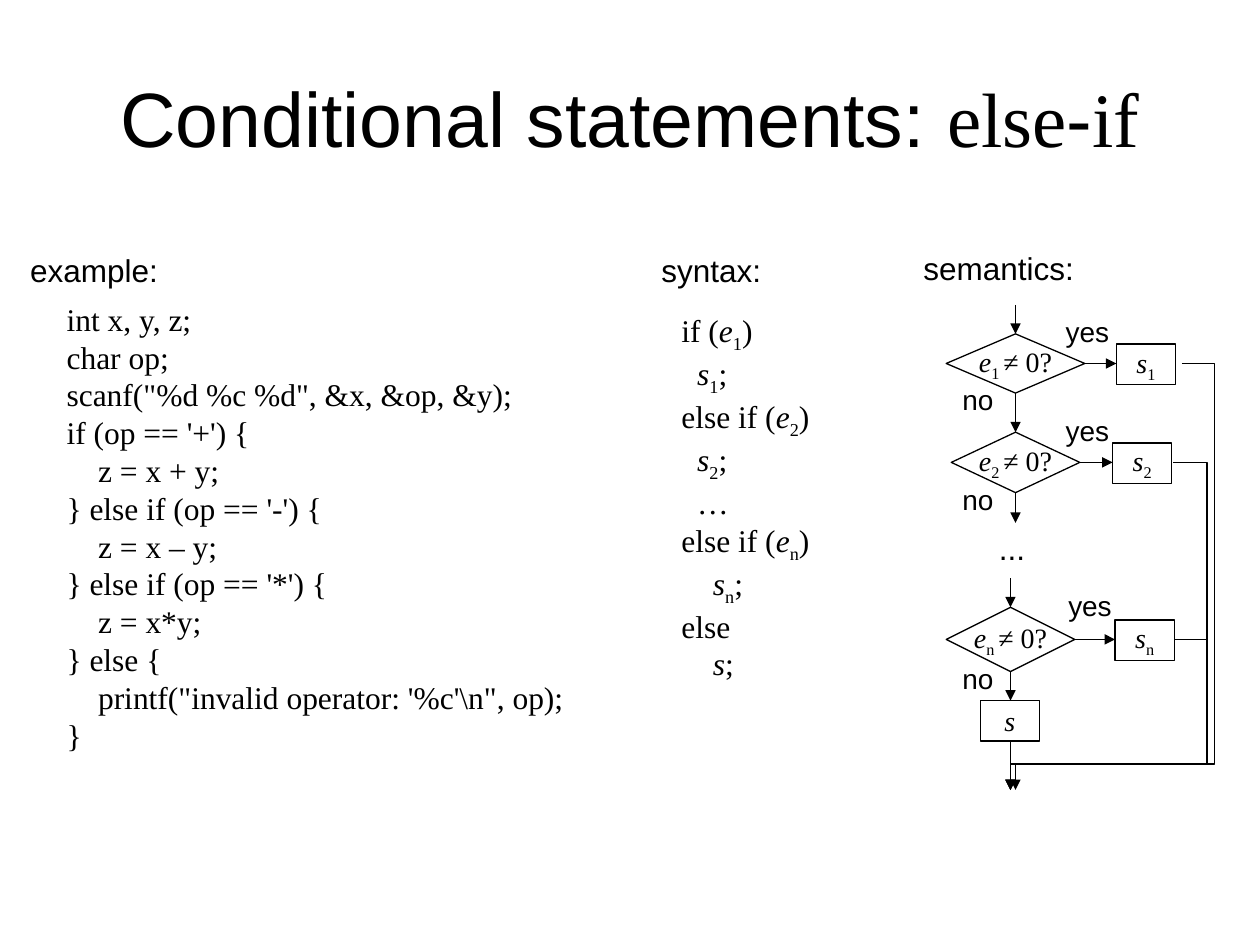
import collections

import pptx
import pptx.dml.color
import pptx.enum.shapes
import pptx.enum.text
import pptx.oxml
import pptx.oxml.ns
import pptx.util

COLORS = {"ink": "000000", "paper": "FFFFFF"}
SANS, SERIF = "Arial", "Times New Roman"
COLUMNS, ROWS = 100, 75
CELL = pptx.util.Inches(10) // COLUMNS
SHAPES = pptx.enum.shapes.MSO_SHAPE

Box = collections.namedtuple("Box", "left top width height")
Step = collections.namedtuple("Step", "sub left top width height action yes exit lane")

CODE = [
    (0, "int x, y, z;"),
    (0, "char op;"),
    (0, 'scanf("%d %c %d", &x, &op, &y);'),
    (0, "if (op == '+') {"),
    (1, "z = x + y;"),
    (0, "} else if (op == '-') {"),
    (1, "z = x – y;"),
    (0, "} else if (op == '*') {"),
    (1, "z = x*y;"),
    (0, "} else {"),
    (1, r'''printf("invalid operator: '%c'\n", op);'''),
    (0, "}"),
]
STEPS = [
    Step("1", 2.8, 7.2, 11, 4.7, 16.3, 11.3, 21.5, 24.1),
    Step("2", 3.2, 15, 10.2, 4.8, 16, 11.3, 20.8, 23.5),
    Step("n", 2.8, 28.9, 10.2, 5.1, 16.2, 11.5, 20.9, 23.5),
]


def grid(value):
    return pptx.util.Emu(round(value * CELL))


def color(name):
    return pptx.dml.color.RGBColor.from_string(COLORS[name])


def variable(name, sub=""):
    """Runs for an italic name with an optional subscript."""
    return [(name, "italic")] + ([(sub, "sub")] if sub else [])


def add_runs(para, runs, font, size):
    for text, style in runs:
        span = para.add_run()
        span.text = text
        span.font.name = font
        span.font.size = pptx.util.Pt(size)
        span.font.color.rgb = color("ink")
        if style == "italic":
            span.font.italic = True
        elif style == "sub":
            span.font._element.set("baseline", "-25000")


def add_text(page, box, lines, font=SANS, size=18):
    """Place lines, each a pair of indent level and runs."""
    shape = page.shapes.add_textbox(*map(grid, box))
    frame = shape.text_frame
    frame.word_wrap = False
    frame.auto_size = pptx.enum.text.MSO_AUTO_SIZE.SHAPE_TO_FIT_TEXT
    for number, (level, runs) in enumerate(lines):
        para = frame.add_paragraph() if number else frame.paragraphs[0]
        if level:
            para._p.get_or_add_pPr().set("marL", str(pptx.util.Inches(0.25 * level)))
        add_runs(para, runs, font, size)


def add_label(page, box, text, size=18):
    add_text(page, box, [(0, [(text, "")])], size=size)


def add_node(page, kind, box, runs):
    shape = page.shapes.add_shape(kind, *map(grid, box))
    shape.shadow.inherit = False
    shape.fill.solid()
    shape.fill.fore_color.rgb = color("paper")
    shape.line.color.rgb = color("ink")
    shape.line.width = pptx.util.Pt(0.75)
    frame = shape.text_frame
    frame.word_wrap = False
    frame.vertical_anchor = pptx.enum.text.MSO_ANCHOR.MIDDLE
    para = frame.paragraphs[0]
    para.alignment = pptx.enum.text.PP_ALIGN.CENTER
    add_runs(para, runs, SERIF, 16)


def add_arrow(page, start, end, bend=None):
    """Draw an arrow; bend is the (column, row) where a four-part elbow turns."""
    kinds = pptx.enum.shapes.MSO_CONNECTOR
    arrow = page.shapes.add_connector(
        kinds.ELBOW if bend else kinds.STRAIGHT, *map(grid, (*start, *end)))
    arrow.line.color.rgb = color("ink")
    arrow.line.width = pptx.util.Pt(0.75)
    properties = arrow._element.spPr
    make = pptx.oxml.ns.qn
    head = properties.find(make("a:ln")).makeelement(make("a:tailEnd"), {"type": "triangle"})
    properties.find(make("a:ln")).append(head)
    properties.append(properties.makeelement(make("a:effectLst"), {}))
    if bend:
        geometry = properties.find(make("a:prstGeom"))
        geometry.set("prst", "bentConnector4")
        guides = geometry.find(make("a:avLst"))
        for axis in (0, 1):
            share = (bend[axis] - start[axis]) / (end[axis] - start[axis])
            guides.append(guides.makeelement(make("a:gd"), {
                "name": f"adj{axis + 1}", "fmla": f"val {round(share * 100000)}"}))


def add_title(page, box):
    title = page.shapes.title
    title.left, title.top, title.width, title.height = map(grid, box)
    title.text_frame.vertical_anchor = pptx.enum.text.MSO_ANCHOR.MIDDLE
    para = title.text_frame.paragraphs[0]
    para.alignment = pptx.enum.text.PP_ALIGN.CENTER
    for text, font in (("Conditional statements: ", SANS), ("else", SERIF),
                       ("-", SANS), ("if", SERIF)):
        add_runs(para, [(text, "")], font, 44)


def add_example(page, box):
    add_label(page, Box(box.left, box.top, 12.2, 4), "example:")
    lines = [(level, [(text, "")]) for level, text in CODE]
    add_text(page, Box(box.left + 2.9, box.top + 3.9, box.width - 2.9, box.height - 3.9),
             lines, SERIF)


def add_syntax(page, box):
    add_label(page, Box(box.left, box.top, 9.9, 4), "syntax:")

    def branch(keyword, sub, level):
        return [(0, [(keyword + " (", ""), *variable("e", sub), (")", "")]),
                (level, [*variable("s", sub), (";", "")])]

    lines = [*branch("if", "1", 0.5), *branch("else if", "2", 0.5), (0.5, [("…", "")]),
             *branch("else if", "n", 1), (0, [("else", "")]),
             (1, [*variable("s"), (";", "")])]
    add_text(page, Box(box.left + 1.6, box.top + 4.8, box.width - 1.6, box.height - 4.8),
             lines, SERIF)


def add_semantics(page, box):
    def point(column, row):
        return box.left + column, box.top + row

    def part(column, row, width, height):
        return Box(*point(column, row), width, height)

    trunk, final, end, turn = 8.3, 7.9, 43.4, 41.35
    add_label(page, part(0, 0, 14, 4), "semantics:")
    for step in STEPS:
        middle = step.top + step.height / 2
        bottom = step.top + step.height
        add_node(page, SHAPES.FLOWCHART_DECISION,
                 part(step.left, step.top, step.width, step.height),
                 [*variable("e", step.sub + " "), ("≠ 0?", "")])
        add_node(page, SHAPES.FLOWCHART_PROCESS, part(step.action, middle - 1.55, 4.7, 3.2),
                 variable("s", step.sub))
        add_arrow(page, point(step.left + step.width, middle), point(step.action, middle))
        add_label(page, part(3.1, bottom - 1.3, 4.5, 3.7), "no", 16)
        add_label(page, part(step.yes, step.top - 2, 5.5, 3.7), "yes", 16)
        add_arrow(page, point(step.exit, middle),
                  point(trunk if step is STEPS[0] else final, end),
                  point(step.lane, turn))
    add_label(page, part(6, 22.2, 4.5, 4), "...")
    add_node(page, SHAPES.FLOWCHART_PROCESS, part(5.5, 36.3, 4.7, 3.2), variable("s"))
    for column, top, bottom in ((trunk, 4.9, 7.2), (trunk, 11.9, 15), (trunk, 19.8, 22.2),
                                (final, 26.6, 28.9), (final, 34, 36.3), (final, 39.5, end)):
        add_arrow(page, point(column, top), point(column, bottom))


def main():
    deck = pptx.Presentation()
    deck.slide_width, deck.slide_height = grid(COLUMNS), grid(ROWS)
    page = deck.slides.add_slide(deck.slide_layouts[5])
    add_title(page, Box(5, 3, 90, 12.5))
    add_example(page, Box(1.4, 19.4, 44.4, 40.9))
    add_syntax(page, Box(51.5, 19.4, 13.9, 32.8))
    add_semantics(page, Box(72.3, 19.3, 24.1, 43.4))
    deck.save("out.pptx")


if __name__ == "__main__":
    main()
